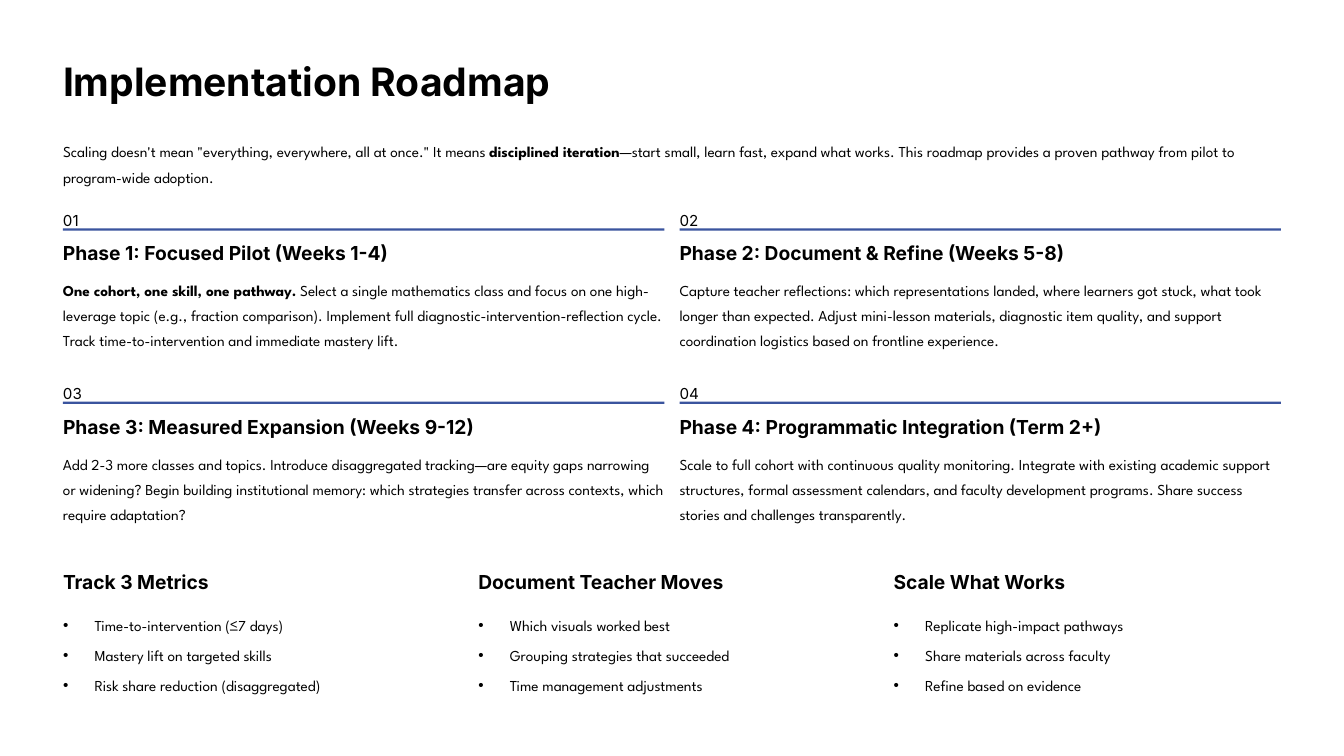
"""Build the Implementation Roadmap slide."""
from lxml import etree
from pptx import Presentation
from pptx import util as u
from pptx.dml import color
from pptx.enum import shapes, text
from pptx.oxml import ns

COLORS = {"text": "000000", "rule": "3A549E", "background": "FFFFFF"}
FRAME = {"margin_left": 0, "margin_top": 0, "margin_right": 0, "margin_bottom": 0,
         "vertical_anchor": text.MSO_ANCHOR.TOP, "auto_size": text.MSO_AUTO_SIZE.NONE}
STYLES = {
    "title": {"font": {"name": "Inter", "size": u.Pt(33.5), "bold": True}, "line": 42},
    "heading": {"font": {"name": "Inter", "size": u.Pt(16.5), "bold": True}, "line": 21},
    "number": {"font": {"name": "Inter", "size": u.Pt(13), "bold": False}, "line": 21.5},
    "body": {"font": {"name": "League Spartan", "size": u.Pt(13), "bold": False}, "line": 21.5},
}
LEFT = 54
INTRO = ("Scaling doesn't mean \"everything, everywhere, all at once.\" It means "
         "**disciplined iteration**—start small, learn fast, expand what works. "
         "This roadmap provides a proven pathway from pilot to program-wide adoption.")
PHASES = [
    ("Phase 1: Focused Pilot (Weeks 1-4)", 285,
     "**One cohort, one skill, one pathway.** Select a single mathematics class and focus on "
     "one high-leverage topic (e.g., fraction comparison). Implement full "
     "diagnostic-intervention-reflection cycle. Track time-to-intervention and immediate "
     "mastery lift."),
    ("Phase 2: Document & Refine (Weeks 5-8)", 338,
     "Capture teacher reflections: which representations landed, where learners got stuck, "
     "what took longer than expected. Adjust mini-lesson materials, diagnostic item quality, "
     "and support coordination logistics based on frontline experience."),
    ("Phase 3: Measured Expansion (Weeks 9-12)", 361,
     "Add 2-3 more classes and topics. Introduce disaggregated tracking—are equity gaps "
     "narrowing or widening? Begin building institutional memory: which strategies transfer "
     "across contexts, which require adaptation?"),
    ("Phase 4: Programmatic Integration (Term 2+)", 370,
     "Scale to full cohort with continuous quality monitoring. Integrate with existing "
     "academic support structures, formal assessment calendars, and faculty development "
     "programs. Share success stories and challenges transparently."),
]
PRACTICES = [
    ("Track 3 Metrics", 168,
     ["Time-to-intervention (≤7 days)", "Mastery lift on targeted skills",
      "Risk share reduction (disaggregated)"]),
    ("Document Teacher Moves", 215,
     ["Which visuals worked best", "Grouping strategies that succeeded",
      "Time management adjustments"]),
    ("Scale What Works", 168,
     ["Replicate high-impact pathways", "Share materials across faculty",
      "Refine based on evidence"]),
]


def set_values(target, values):
    """Set each named attribute of the target."""
    for name, value in values.items():
        setattr(target, name, value)


def place(shape, left, top, width, height):
    """Move and size a shape in points."""
    box = {"left": left, "top": top, "width": width, "height": height}
    set_values(shape, {name: u.Pt(value) for name, value in box.items()})


def add_bullet(paragraph):
    """Give a paragraph a hanging bullet."""
    properties = paragraph._p.get_or_add_pPr()
    properties.set("marL", str(u.Pt(27)))
    properties.set("indent", str(u.Pt(-27)))
    etree.SubElement(properties, ns.qn("a:buChar")).set("char", "•")


def fill_text(shape, lines, style, wrap=True, bullets=False):
    """Write styled lines, with bold between double asterisks."""
    frame = shape.text_frame
    set_values(frame, FRAME | {"word_wrap": wrap})
    for index, line in enumerate(lines):
        paragraph = frame.add_paragraph() if index else frame.paragraphs[0]
        set_values(paragraph, {"alignment": text.PP_ALIGN.LEFT,
                               "line_spacing": u.Pt(STYLES[style]["line"]),
                               "space_before": u.Pt(4.5 if index else 0),
                               "space_after": u.Pt(0)})
        if bullets:
            add_bullet(paragraph)
        for part, words in enumerate(line.split("**")):
            if words:
                run = paragraph.add_run()
                run.text = words
                set_values(run.font, STYLES[style]["font"])
                run.font.color.rgb = color.RGBColor.from_string(COLORS["text"])
                if part % 2:
                    run.font.bold = True


def add_label(slide, box, words, style, wrap=False):
    """Add a text box holding one paragraph."""
    label = slide.shapes.add_textbox(0, 0, 0, 0)
    place(label, *box)
    fill_text(label, [words], style, wrap)


def add_rule(slide, left, top, width):
    """Add a thin coloured bar."""
    rule = slide.shapes.add_shape(shapes.MSO_SHAPE.RECTANGLE, 0, 0, 0, 0)
    place(rule, left, top, width, 2)
    rule.shadow.inherit = False
    rule.fill.solid()
    rule.fill.fore_color.rgb = color.RGBColor.from_string(COLORS["rule"])
    rule.line.fill.background()


def add_phase(slide, index, heading, heading_width, description):
    """Add one numbered phase to the two-column grid."""
    row, column = divmod(index, 2)
    left, top, width = LEFT + column * 528.5, 175 + row * 148.5, 515.5
    add_label(slide, (left, top, 14, 16.5), f"{index + 1:02}", "number")
    add_rule(slide, left, top + 20.75, width)
    add_label(slide, (left, top + 31, heading_width, 21), heading, "heading")
    add_label(slide, (left, top + 60.5, width, 65), description, "body", wrap=True)


def add_practice(slide, placeholder, index, heading, heading_width, items):
    """Add one headed list to the bottom row."""
    left = LEFT + index * 356
    add_label(slide, (left, 487.5, heading_width, 21), heading, "heading")
    place(placeholder, left, 522, 323, 73.5)
    fill_text(placeholder, items, "body", bullets=True)


def main():
    """Assemble and save the slide."""
    presentation = Presentation()
    set_values(presentation, {"slide_width": u.Pt(1152), "slide_height": u.Pt(648)})
    slide = presentation.slides.add_slide(presentation.slide_layouts.get_by_name("Comparison"))
    slide.background.fill.solid()
    slide.background.fill.fore_color.rgb = color.RGBColor.from_string(COLORS["background"])
    title, intro, *lists = slide.placeholders
    place(title, LEFT, 47.5, 420, 42)
    fill_text(title, ["Implementation Roadmap"], "title", wrap=False)
    place(intro, LEFT, 116.5, 1044, 43)
    fill_text(intro, [INTRO], "body")
    for index, phase in enumerate(PHASES):
        add_phase(slide, index, *phase)
    for index, (placeholder, practice) in enumerate(zip(lists, PRACTICES)):
        add_practice(slide, placeholder, index, *practice)
    presentation.save("out.pptx")


if __name__ == "__main__":
    main()
